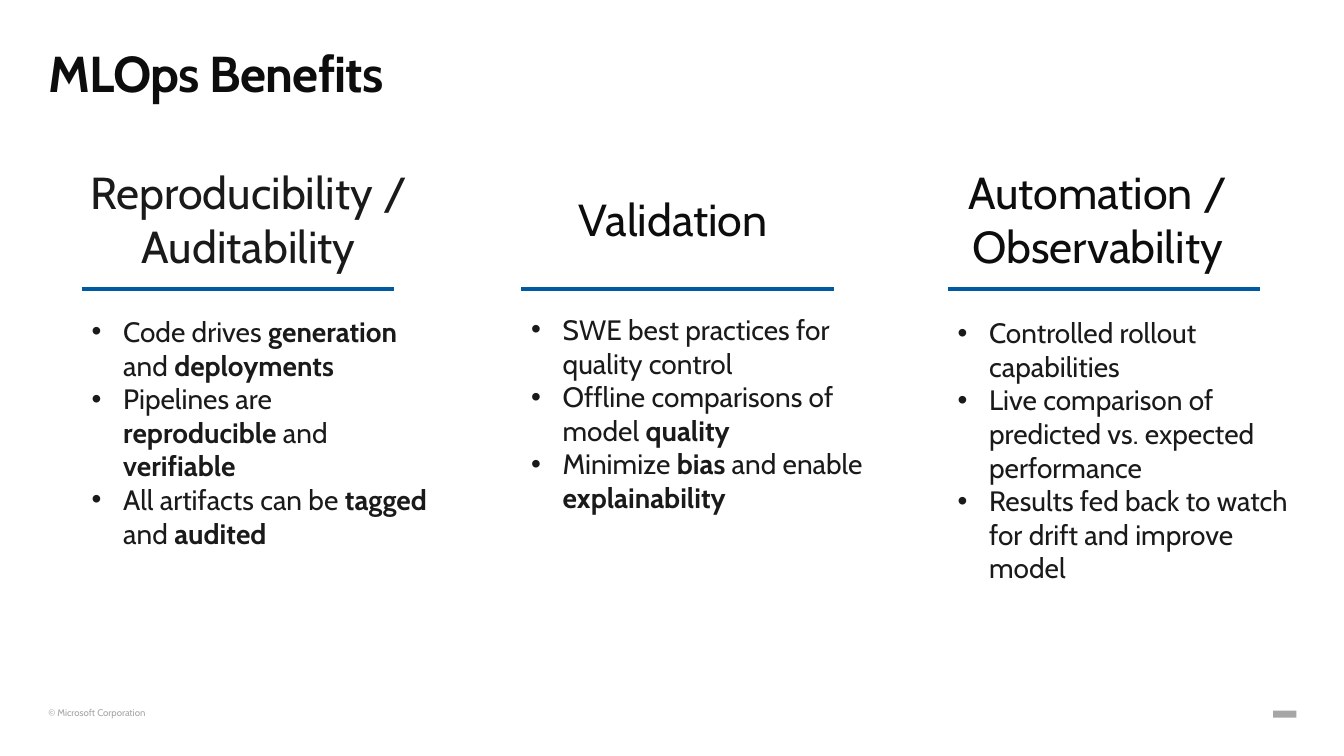
from lxml import etree
from pptx import Presentation
from pptx.dml.color import RGBColor
from pptx.enum import shapes, text
from pptx.oxml import ns
from pptx.util import Pt

FONT = "Cabin"
NEAR_BLACK = RGBColor(0x0D, 0x0D, 0x0D)
CHARCOAL = RGBColor(0x1A, 0x1A, 0x1A)
GREY = RGBColor(0xA6, 0xA6, 0xA6)
BLUE = RGBColor(0x00, 0x5A, 0x9F)

HEADING_LEFT, HEADING_PITCH = 33.8, 303.15
RULE_Y, RULE_WIDTH = 206.6, 223.2

# Heading, heading colour, left edge, list top, list width,
# then the bullets as runs that alternate between regular and bold
BENEFITS = [
    ("Reproducibility / Auditability", CHARCOAL, 58.3, 221, 254.9, [
        ["Code drives ", "generation", " and ", "deployments"],
        ["Pipelines are ", "reproducible", " and ", "verifiable"],
        ["All artifacts can be ", "tagged", " and ", "audited"],
    ]),
    ("Validation", NEAR_BLACK, 372.2, 219.6, 251.3, [
        ["SWE best practices for quality control"],
        ["Offline comparisons of model ", "quality"],
        ["Minimize ", "bias", " and enable ", "explainability"],
    ]),
    ("Automation / Observability", NEAR_BLACK, 676.8, 221.8, 251.3, [
        ["Controlled rollout capabilities"],
        ["Live comparison of predicted vs. expected performance"],
        ["Results fed back to watch for drift and improve model"],
    ]),
]


def place(shape, left, top, width, height):
    shape.left, shape.top = Pt(left), Pt(top)
    shape.width, shape.height = Pt(width), Pt(height)


def set_frame(frame, anchor, margins, wrap=True):
    """Margins are left, top, right and bottom, in points."""
    frame.auto_size = text.MSO_AUTO_SIZE.NONE
    frame.word_wrap = wrap
    frame.vertical_anchor = anchor
    (frame.margin_left, frame.margin_top,
     frame.margin_right, frame.margin_bottom) = map(Pt, margins)


def set_font(paragraph, size, color):
    paragraph.font.name = FONT
    paragraph.font.size = Pt(size)
    paragraph.font.color.rgb = color


def add_bullet(paragraph):
    properties = paragraph._p.get_or_add_pPr()
    properties.set("marL", str(Pt(22.5)))
    properties.set("indent", str(-Pt(22.5)))
    etree.SubElement(properties, ns.qn("a:buFont"), typeface="Arial")
    etree.SubElement(properties, ns.qn("a:buChar"), char="•")


def fill_title(title):
    place(title, 34.5, 17.3, 892.8, 58.3)
    set_frame(title.text_frame, text.MSO_ANCHOR.TOP, (0, 13, 0, 0))
    paragraph = title.text_frame.paragraphs[0]
    paragraph.alignment = text.PP_ALIGN.LEFT
    set_font(paragraph, 36, NEAR_BLACK)
    paragraph.font.bold = True
    run = paragraph.add_run()
    run.text = "MLOps Benefits"
    run._r.get_or_add_rPr().set("spc", "-50")


def add_label(slide, wording, box, size, color, anchor, alignment, wrap=True):
    label = slide.shapes.add_textbox(*map(Pt, box))
    set_frame(label.text_frame, anchor, (0, 0, 0, 0), wrap)
    paragraph = label.text_frame.paragraphs[0]
    paragraph.text = wording
    paragraph.alignment = alignment
    set_font(paragraph, size, color)
    return paragraph


def add_rule(slide, left):
    rule = slide.shapes.add_connector(
        shapes.MSO_CONNECTOR.STRAIGHT,
        Pt(left), Pt(RULE_Y), Pt(left + RULE_WIDTH), Pt(RULE_Y))
    rule.line.color.rgb = BLUE
    rule.line.width = Pt(3)
    etree.SubElement(rule._element.spPr, ns.qn("a:effectLst"))


def fill_list(body, bullets, left, top, width):
    place(body, left, top, width, 201)
    frame = body.text_frame
    set_frame(frame, text.MSO_ANCHOR.TOP, (7.2, 3.6, 7.2, 3.6))
    for number, pieces in enumerate(bullets):
        paragraph = frame.add_paragraph() if number else frame.paragraphs[0]
        paragraph.space_before = Pt(0)
        add_bullet(paragraph)
        set_font(paragraph, 20, CHARCOAL)
        for position, piece in enumerate(pieces):
            run = paragraph.add_run()
            run.text = piece
            run.font.bold = position % 2 == 1


def add_footer(slide):
    notice = add_label(slide, "© Microsoft Corporation", (34.6, 506.2, 76.3, 7.2),
                       6.9, GREY, text.MSO_ANCHOR.TOP, text.PP_ALIGN.LEFT,
                       wrap=False)
    notice.line_spacing = 0.9
    mark = slide.shapes.add_shape(shapes.MSO_SHAPE.RECTANGLE,
                                  Pt(909.4), Pt(507.6), Pt(16.6), Pt(5))
    mark.shadow.inherit = False
    mark.fill.solid()
    mark.fill.fore_color.rgb = GREY
    mark.line.fill.background()


def main():
    deck = Presentation()
    deck.slide_width, deck.slide_height = Pt(960), Pt(540)
    comparison = deck.slide_layouts.get_by_name("Comparison")
    slide = deck.slides.add_slide(comparison)

    fill_title(slide.shapes.title)
    *lists, spare = list(slide.placeholders)[1:]
    spare._element.getparent().remove(spare._element)

    for column, (body, benefit) in enumerate(zip(lists, BENEFITS)):
        heading, color, left, top, width, bullets = benefit
        heading_left = HEADING_LEFT + column * HEADING_PITCH
        add_label(slide, heading, (heading_left, 117.4, 288, 77.8), 32, color,
                  text.MSO_ANCHOR.MIDDLE, text.PP_ALIGN.CENTER)
        add_rule(slide, left)
        fill_list(body, bullets, left, top, width)

    add_footer(slide)
    deck.save("out.pptx")


if __name__ == "__main__":
    main()
